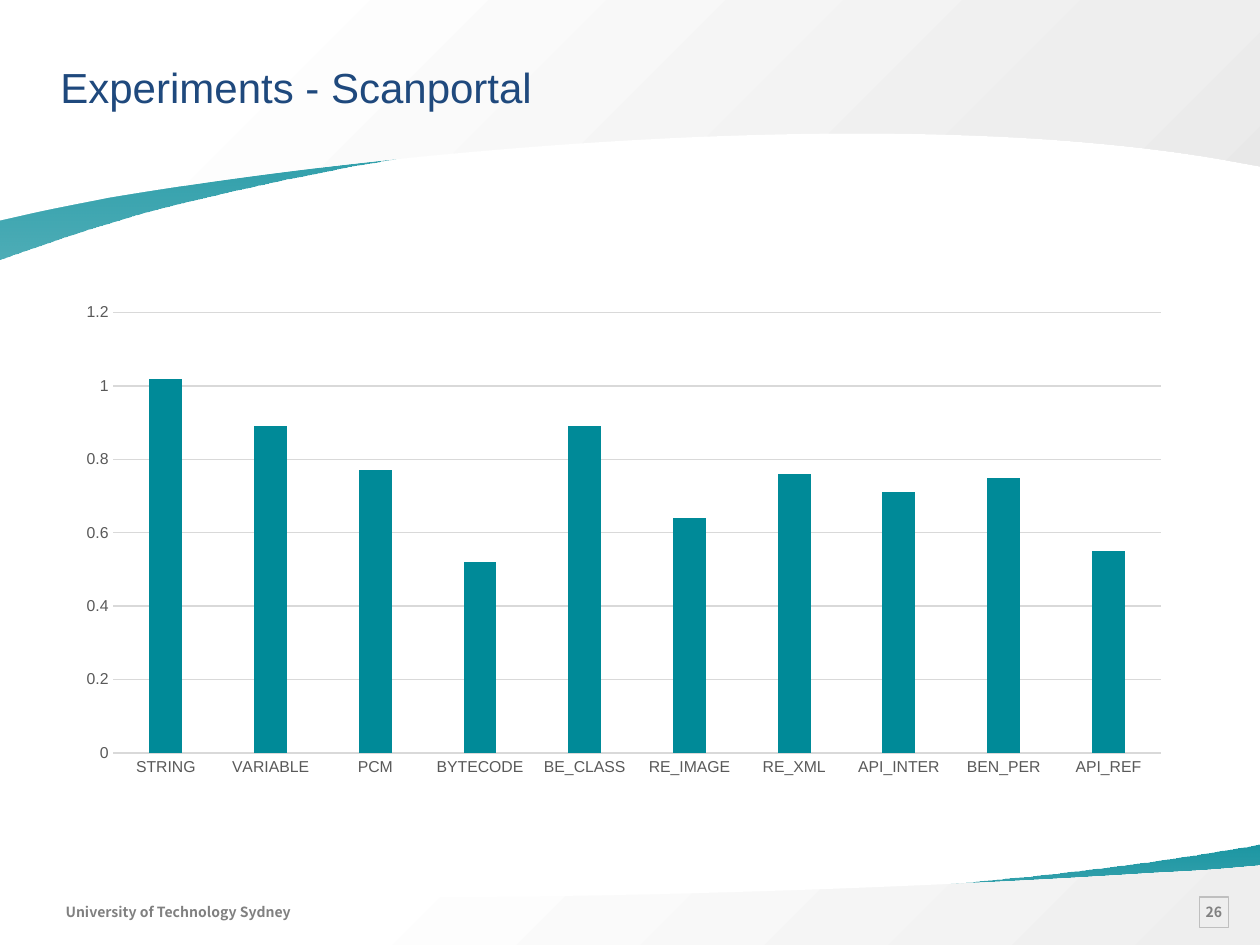
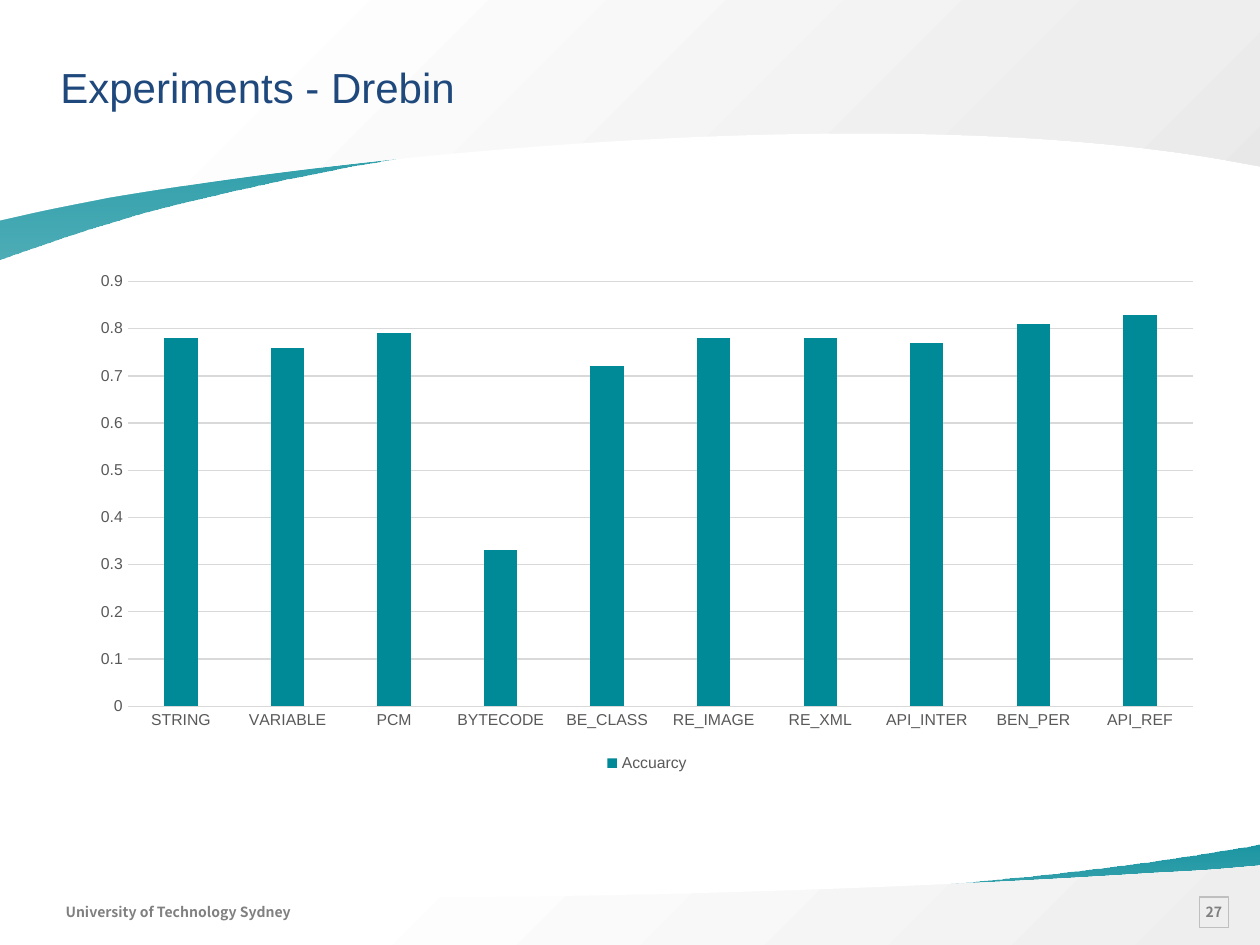
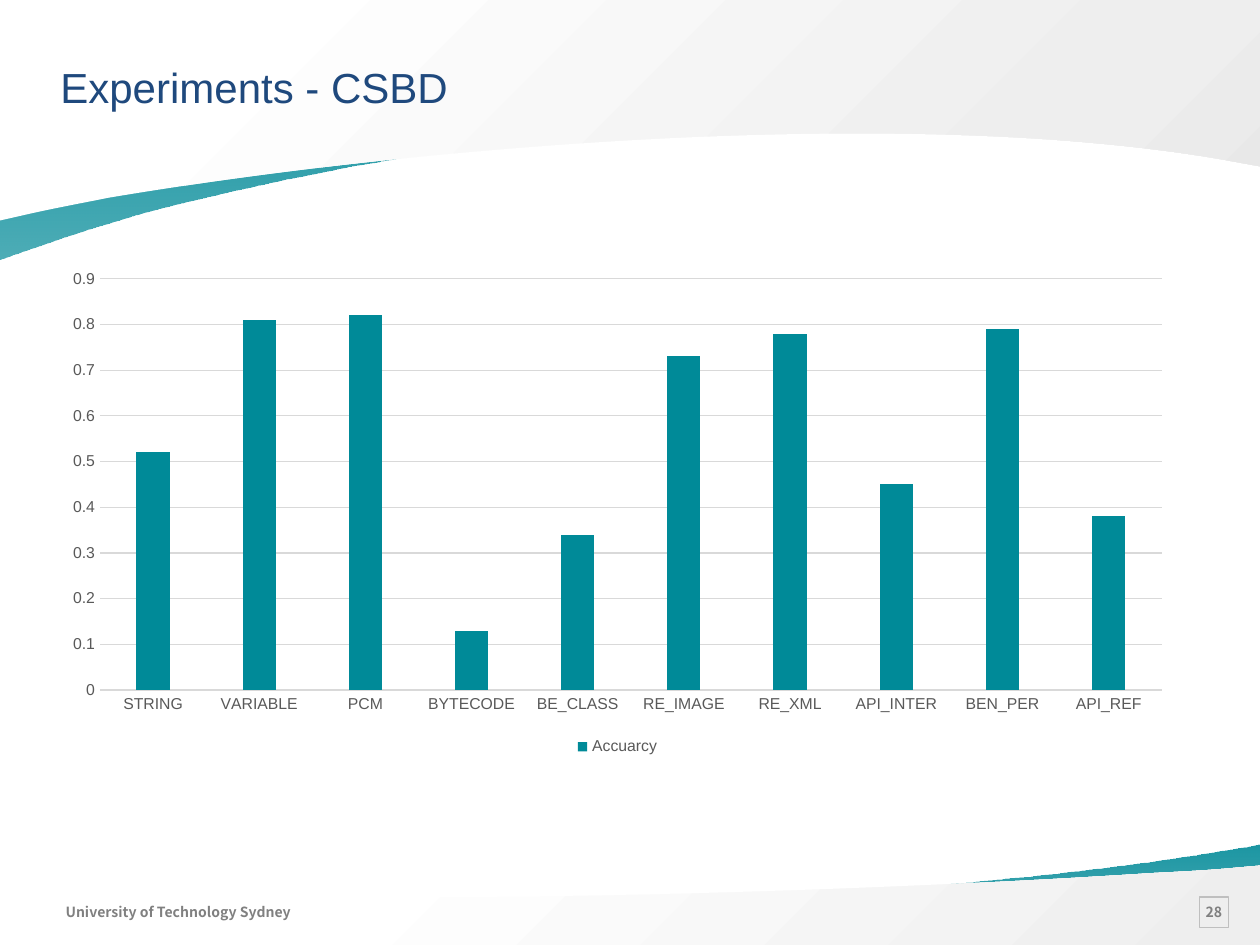
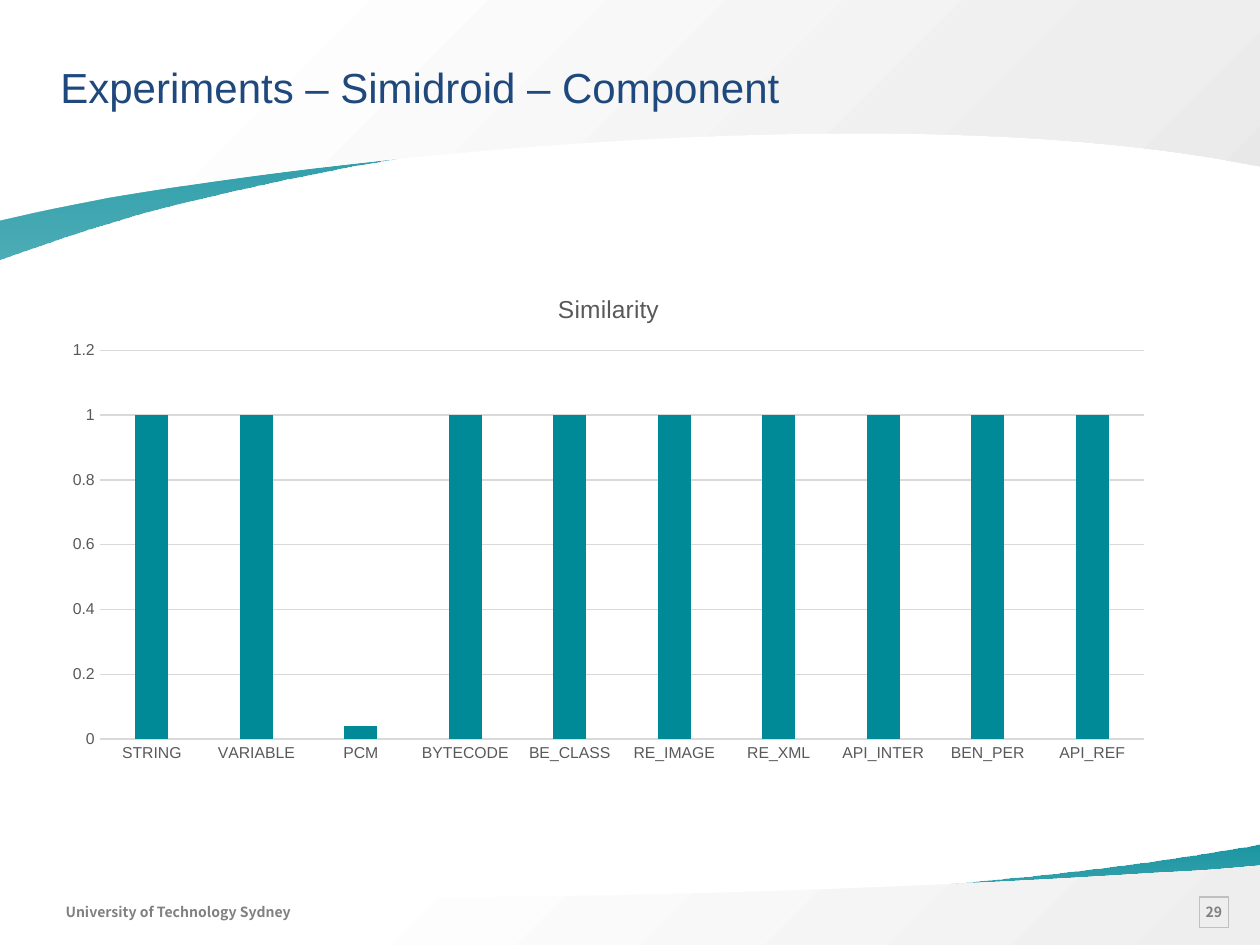
from pptx import Presentation
from pptx import util as u
from pptx.chart import data as chart_data
from pptx.dml.color import RGBColor
from pptx.enum import chart as charts, shapes, text
from pptx.oxml import parse_xml
from pptx.oxml.ns import nsdecls, qn

TEAL, NAVY, GREY, AXIS, RULE = "008A98", "1F497D", "808080", "595959", "D9D9D9"
HEAD_FONT, FOOT_FONT = "Arial", "Noto Sans CJK SC"


def color(hex_string):
    return RGBColor.from_string(hex_string)


def style(font, name, size, hex_string, bold=False):
    font.name, font.size, font.bold = name, u.Pt(size), bold
    font.color.rgb = color(hex_string)


deck = Presentation()
deck.slide_width, deck.slide_height = u.Inches(10), u.Inches(7.5)
blank = deck.slide_layouts[6]
for holder in list(blank.placeholders):
    blank.shapes.element.remove(holder.element)

# Grid of 100 columns and 75 rows
col, row = deck.slide_width / 100, deck.slide_height / 75

# Bands: gradient angle, stops (position, colour, opacity), outline.
# Two numbers are a corner, six are a Bezier curve.
teal_stops = [(0, TEAL, 90), (100, TEAL, 70)]
bands = [
    (90, teal_stops,
     [(100, 67), (100, 73.5), (0, 73.5), (0, 70.8), (0.1, 70.8),
      (22.6, 74.1, 61.5, 71.7, 83.9, 69.3),
      (88.4, 68.8, 93.5, 68.1, 98.9, 67.2)]),
    (45, [(26, "FFFFFF", 100), (100, "EEEEEE", 100)],
     [(100, 68.7), (100, 75), (0, 75), (0, 70.3), (3.3, 70.5),
      (29.4, 72.1, 68.3, 70.8, 91.4, 69.3),
      (93.4, 69.2, 95.6, 69.1, 97.8, 68.9)]),
    (90, teal_stops,
     [(0, 20.6), (0, 6.6), (100, 6.6), (100, 12.4), (99.9, 12.3),
      (77.4, 5.3, 38.5, 10.3, 16.1, 15.7),
      (11.6, 16.7, 6.5, 18.3, 1.1, 20.2)]),
    (45, [(17, "FFFFFF", 100), (81, "EEEEEE", 100), (100, "E8E8E8", 100)],
     [(0, 17.5), (0, 0), (100, 0), (100, 13.2), (96.7, 12.6),
      (70.6, 8.2, 31.7, 11.8, 8.6, 15.7),
      (6.6, 16.1, 4.4, 16.5, 2.2, 17)]),
]

# Experiments: heading, place in columns and rows, axis top and step,
# series, legend shown, chart title shown, values
features = ["STRING", "VARIABLE", "PCM", "BYTECODE", "BE_CLASS",
            "RE_IMAGE", "RE_XML", "API_INTER", "BEN_PER", "API_REF"]
experiments = [
    ("Experiments - Scanportal", (5.1, 23.3, 88.8, 39.1), 1.2, 0.2,
     "Series 1", False, False,
     [1.02, 0.89, 0.77, 0.52, 0.89, 0.64, 0.76, 0.71, 0.75, 0.55]),
    ("Experiments - Drebin", (6.2, 20.8, 90.3, 40.9), 0.9, 0.1,
     "Accuarcy", True, False,
     [0.78, 0.76, 0.79, 0.33, 0.72, 0.78, 0.78, 0.77, 0.81, 0.83]),
    ("Experiments - CSBD", (4, 20.6, 90, 39.8), 0.9, 0.1,
     "Accuarcy", True, False,
     [0.52, 0.81, 0.82, 0.13, 0.34, 0.73, 0.78, 0.45, 0.79, 0.38]),
    ("Experiments – Simidroid – Component", (4, 21.6, 88.6, 39.7), 1.2, 0.2,
     "Similarity", False, True,
     [1, 1, 0.04, 1, 1, 1, 1, 1, 1, 1]),
]

for number, experiment in enumerate(experiments, start=26):
    heading, place, top, unit, measure, has_legend, has_title, scores = experiment
    slide = deck.slides.add_slide(blank)

    # Curved bands, drawn once and handed to the layout
    for angle, stops, outline in bands if number == 26 else []:
        ends = [(part[-2] * col, part[-1] * row) for part in outline]
        pen = slide.shapes.build_freeform(*ends[0])
        pen.add_line_segments(ends[1:], close=True)
        band = pen.convert_to_shape()
        band.shadow.inherit = False
        band.line.fill.background()
        band.fill.background()

        # Bend the segments that have control points
        segments = list(band.element.iter(qn("a:lnTo")))
        for segment, part in zip(segments, outline[1:]):
            if len(part) == 6:
                knots = "".join(
                    f'<a:pt x="{round(x * col - band.left)}" y="{round(y * row - band.top)}"/>'
                    for x, y in zip(part[::2], part[1::2]))
                segment.getparent().replace(segment, parse_xml(
                    f'<a:cubicBezTo {nsdecls("a")}>{knots}</a:cubicBezTo>'))

        # Gradient fill
        stop_xml = "".join(
            f'<a:gs pos="{spot * 1000}"><a:srgbClr val="{tone}">'
            f'<a:alpha val="{opacity * 1000}"/></a:srgbClr></a:gs>'
            for spot, tone, opacity in stops)
        properties = band.element.spPr
        properties.replace(properties.find(qn("a:noFill")), parse_xml(
            f'<a:gradFill {nsdecls("a")}><a:gsLst>{stop_xml}</a:gsLst>'
            f'<a:lin ang="{angle * 60000}" scaled="0"/></a:gradFill>'))
        blank.shapes.element.append(band.element)

    # Page number, footer and heading
    page = slide.shapes.add_shape(
        shapes.MSO_SHAPE.RECTANGLE, *map(int, (95.2 * col, 71.2 * row, 2.3 * col, 2.4 * row)))
    page.shadow.inherit = False
    page.fill.background()
    page.line.color.rgb = color("BFBFBF")
    page.line.width = u.Pt(0.75)
    footer = slide.shapes.add_textbox(
        *map(int, (5.2 * col, 71.2 * row, 18.9 * col, 2.3 * row)))
    title = slide.shapes.add_textbox(
        *map(int, (4 * col, 4.1 * row, 90 * col, 5.8 * row)))
    for holder, words, margins, wrap, look in [
        (page, str(number), (0.8, 0.8, 0.8, 0.8), False, (FOOT_FONT, 8, GREY, True)),
        (footer, "University of Technology Sydney", (0, 0.5, 1, 0.5), False,
         (FOOT_FONT, 8, GREY, True)),
        (title, heading, (0.8, 0.8, 0, 0.8), True, (HEAD_FONT, 24, NAVY)),
    ]:
        frame = holder.text_frame
        frame.word_wrap = wrap
        (frame.margin_left, frame.margin_top,
         frame.margin_right, frame.margin_bottom) = (int(m * col) for m in margins)
        run = frame.paragraphs[0].add_run()
        run.text = words
        style(run.font, *look)
    page.text_frame.vertical_anchor = text.MSO_ANCHOR.MIDDLE
    page.text_frame.paragraphs[0].alignment = text.PP_ALIGN.CENTER

    # Column chart
    results = chart_data.CategoryChartData()
    results.categories = features
    results.add_series(measure, scores)
    left, upper, width, height = place
    chart = slide.shapes.add_chart(
        charts.XL_CHART_TYPE.COLUMN_CLUSTERED,
        *map(int, (left * col, upper * row, width * col, height * row)), results).chart
    style(chart.font, HEAD_FONT, 10, "000000")
    plot = chart.plots[0]
    plot.gap_width, plot.overlap, plot.vary_by_categories = 219, -27, False
    columns = plot.series[0].format.fill
    columns.solid()
    columns.fore_color.rgb = color(TEAL)

    # Axes and gridlines
    scale = chart.value_axis
    scale.minimum_scale, scale.maximum_scale, scale.major_unit = 0, top, unit
    for axis in (chart.category_axis, scale):
        axis.major_tick_mark = axis.minor_tick_mark = charts.XL_TICK_MARK.NONE
        style(axis.tick_labels.font, HEAD_FONT, 9, AXIS)
    scale.format.line.fill.background()
    for rule in (chart.category_axis.format.line, scale.major_gridlines.format.line):
        rule.color.rgb = color(RULE)
        rule.width = u.Pt(0.75)

    # Legend and chart title
    chart.has_legend = has_legend
    if has_legend:
        chart.legend.position = charts.XL_LEGEND_POSITION.BOTTOM
        chart.legend.include_in_layout = False
        style(chart.legend.font, HEAD_FONT, 9, AXIS)
    chart.has_title = has_title
    if has_title:
        caption = chart.chart_title.text_frame.paragraphs[0].add_run()
        caption.text = measure
        style(caption.font, HEAD_FONT, 14, AXIS)

deck.save("out.pptx")
